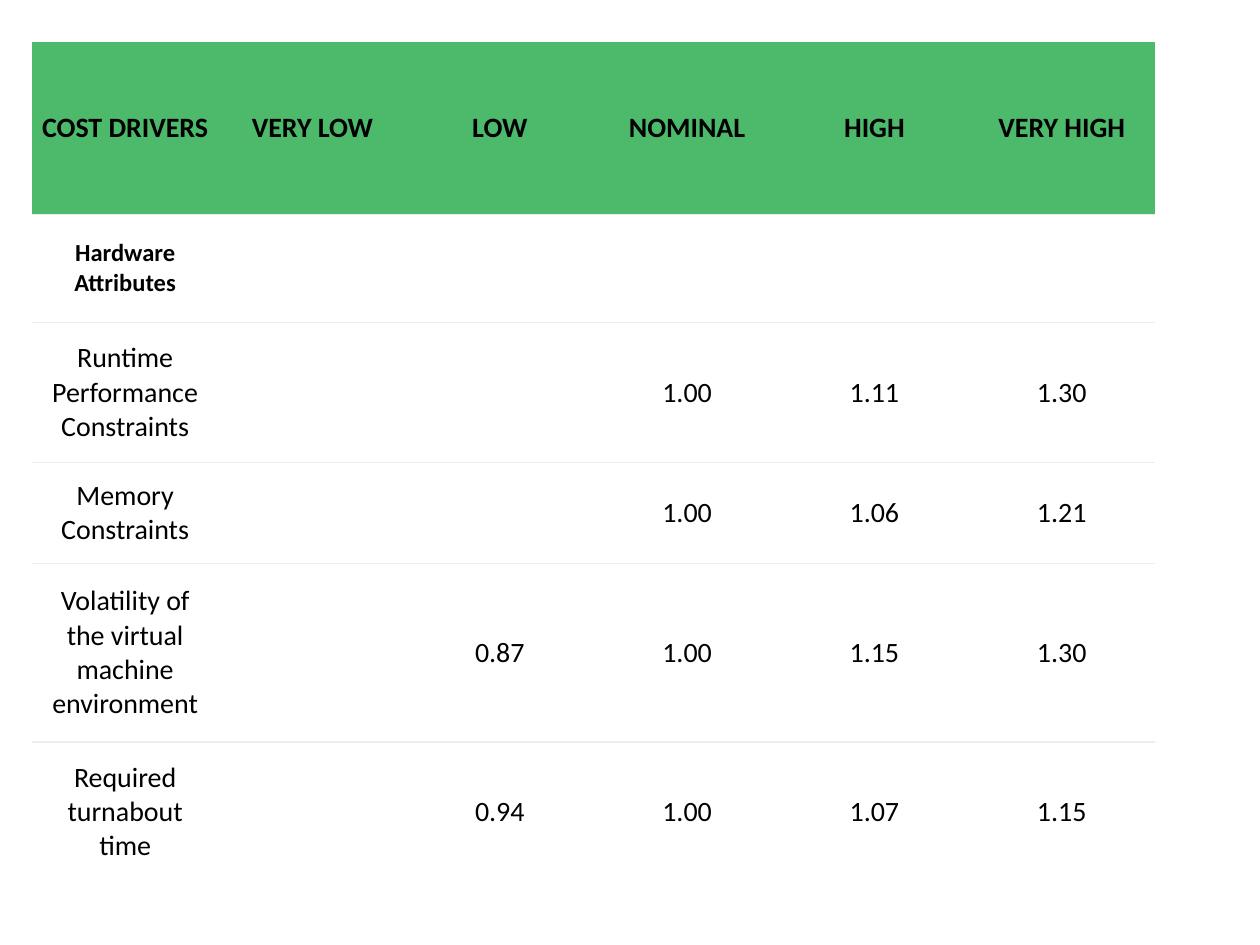
from dataclasses import dataclass

from lxml.etree import SubElement
from pptx import Presentation
from pptx.dml.color import RGBColor
from pptx.enum.text import MSO_ANCHOR, PP_ALIGN
from pptx.oxml import parse_xml
from pptx.oxml.ns import nsdecls, qn
from pptx.table import Table, _Cell
from pptx.util import Inches, Pt

GREEN = RGBColor(0x4C, 0xB9, 0x6B)
WHITE = RGBColor(0xFF, 0xFF, 0xFF)
BLACK = RGBColor(0x00, 0x00, 0x00)
RULE_GREY = RGBColor(0xED, 0xED, 0xED)
PLAIN_TABLE_STYLE = "{2D5ABB26-0587-4C30-8999-92F81FD0307C}"


@dataclass(frozen=True)
class RowStyle:
    fill: RGBColor
    size: int
    bold: bool
    side_margin: float
    end_margin: float


@dataclass(frozen=True)
class DriverRow:
    height: float
    style: RowStyle
    texts: tuple[str, ...]


HEADER = RowStyle(GREEN, 16, True, 0.05, 0.05)
GROUP = RowStyle(WHITE, 14, True, 0.09, 0.05)
BODY = RowStyle(WHITE, 16, False, 0.15, 0.07)

ROWS = (
    DriverRow(1.37, HEADER, ("COST DRIVERS", "VERY LOW", "LOW", "NOMINAL", "HIGH", "VERY HIGH")),
    DriverRow(0.86, GROUP, ("Hardware Attributes", "", "", "", "", "")),
    DriverRow(1.11, BODY, ("Runtime Performance Constraints", "", "", "1.00", "1.11", "1.30")),
    DriverRow(0.8, BODY, ("Memory Constraints", "", "", "1.00", "1.06", "1.21")),
    DriverRow(1.42, BODY, ("Volatility of the virtual machine environment", "", "0.87", "1.00", "1.15", "1.30")),
    DriverRow(1.11, BODY, ("Required turnabout time", "", "0.94", "1.00", "1.07", "1.15")),
)
COLUMN_COUNT = len(ROWS[0].texts)
TABLE_WIDTH = 8.92


def add_rule(cell: _Cell, edge: str) -> None:
    """Draw a thin grey line on one edge; lines come before the fill."""
    line = parse_xml(f'<a:{edge} {nsdecls("a")} w="{Pt(0.75)}"/>')
    fill = SubElement(line, qn("a:solidFill"))
    SubElement(fill, qn("a:srgbClr"), val=str(RULE_GREY))
    cell._tc.get_or_add_tcPr().insert(0, line)


def format_cell(cell: _Cell, text: str, style: RowStyle) -> None:
    cell.fill.solid()
    cell.fill.fore_color.rgb = style.fill
    cell_format = {
        "vertical_anchor": MSO_ANCHOR.MIDDLE,
        "margin_left": Inches(style.side_margin),
        "margin_right": Inches(style.side_margin),
        "margin_top": Inches(style.end_margin),
        "margin_bottom": Inches(style.end_margin),
    }
    for name, value in cell_format.items():
        setattr(cell, name, value)

    cell.text = text
    paragraph = cell.text_frame.paragraphs[0]
    paragraph.alignment = PP_ALIGN.CENTER
    for run in paragraph.runs:
        run_format = {"name": "Calibri", "size": Pt(style.size), "bold": style.bold}
        for name, value in run_format.items():
            setattr(run.font, name, value)
        run.font.color.rgb = BLACK


def fill_table(table: Table) -> None:
    for column in table.columns:
        column.width = Inches(TABLE_WIDTH / COLUMN_COUNT)
    for row_index, driver in enumerate(ROWS):
        table.rows[row_index].height = Inches(driver.height)
        for column_index, text in enumerate(driver.texts):
            cell = table.cell(row_index, column_index)
            format_cell(cell, text, driver.style)
            # Rules run between rows only
            if row_index < len(ROWS) - 1:
                add_rule(cell, "lnB")
            if row_index > 0:
                add_rule(cell, "lnT")


def main() -> None:
    presentation = Presentation()
    presentation.slide_width = Inches(10)
    presentation.slide_height = Inches(7.5)
    slide = presentation.slides.add_slide(presentation.slide_layouts[6])

    # Cost driver table
    table_height = sum(driver.height for driver in ROWS)
    table = slide.shapes.add_table(
        len(ROWS), COLUMN_COUNT,
        Inches(0.25), Inches(0.33), Inches(TABLE_WIDTH), Inches(table_height),
    ).table
    table.horz_banding = False
    table._tbl.tblPr.find(qn("a:tableStyleId")).text = PLAIN_TABLE_STYLE
    fill_table(table)

    presentation.save("out.pptx")


if __name__ == "__main__":
    main()
